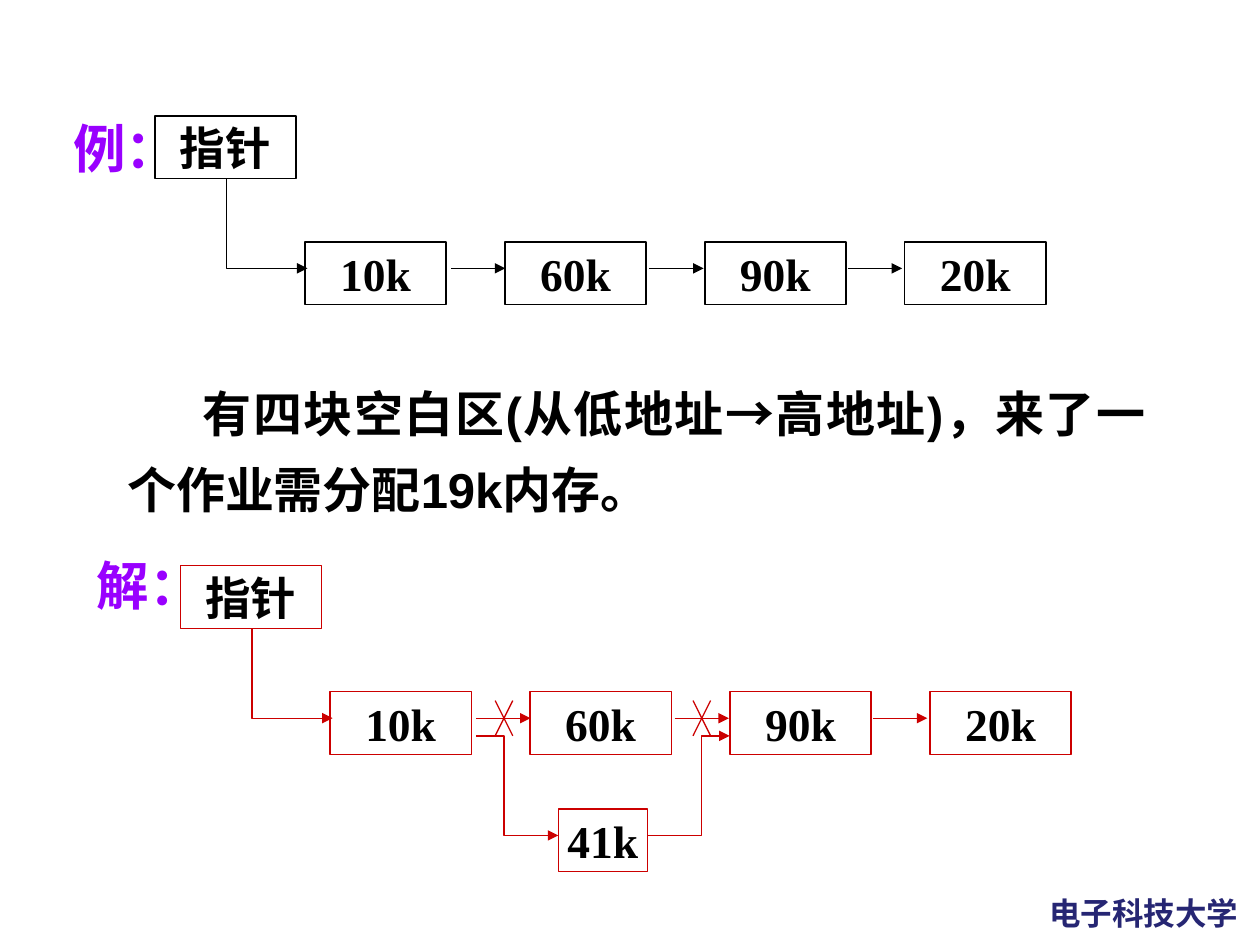
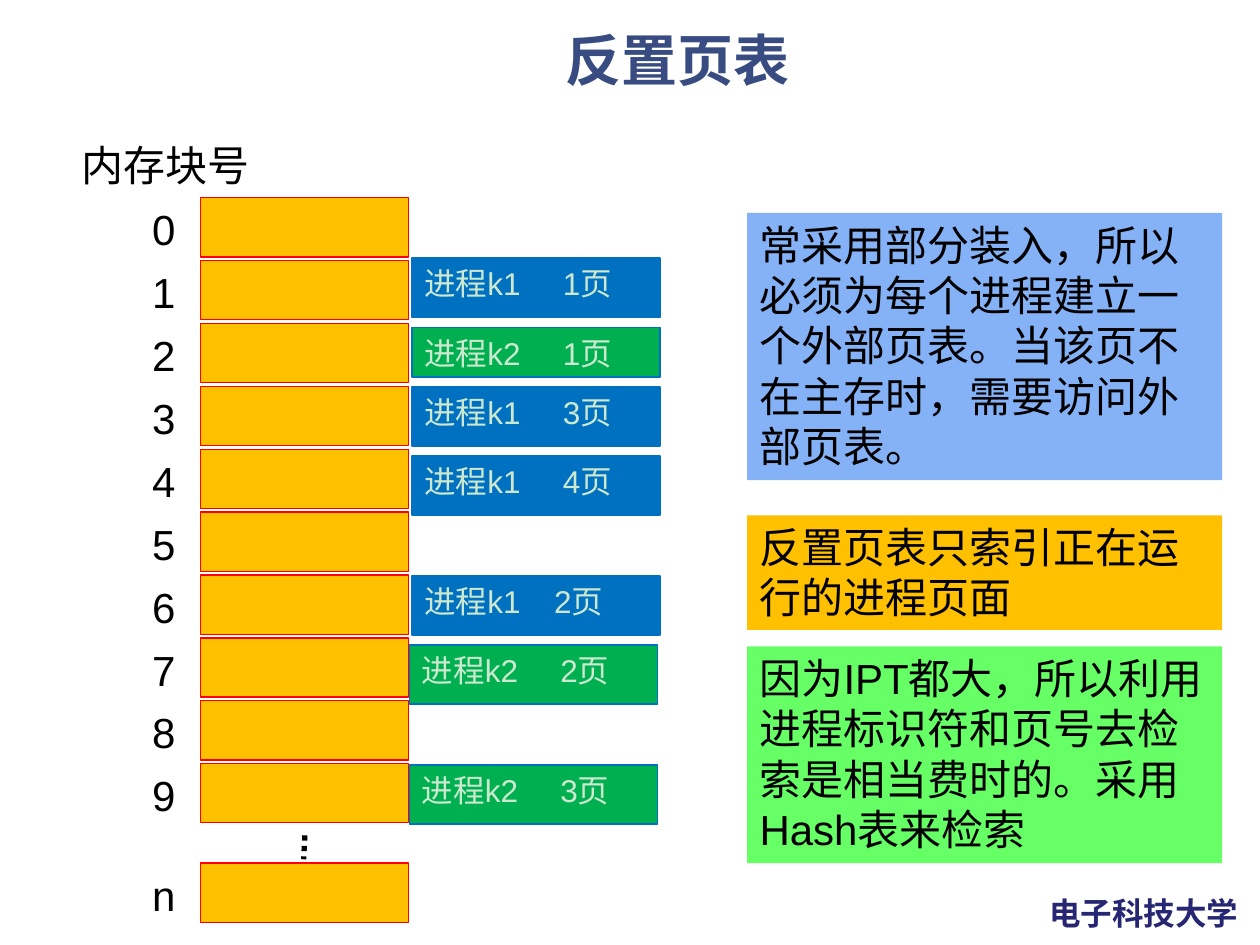
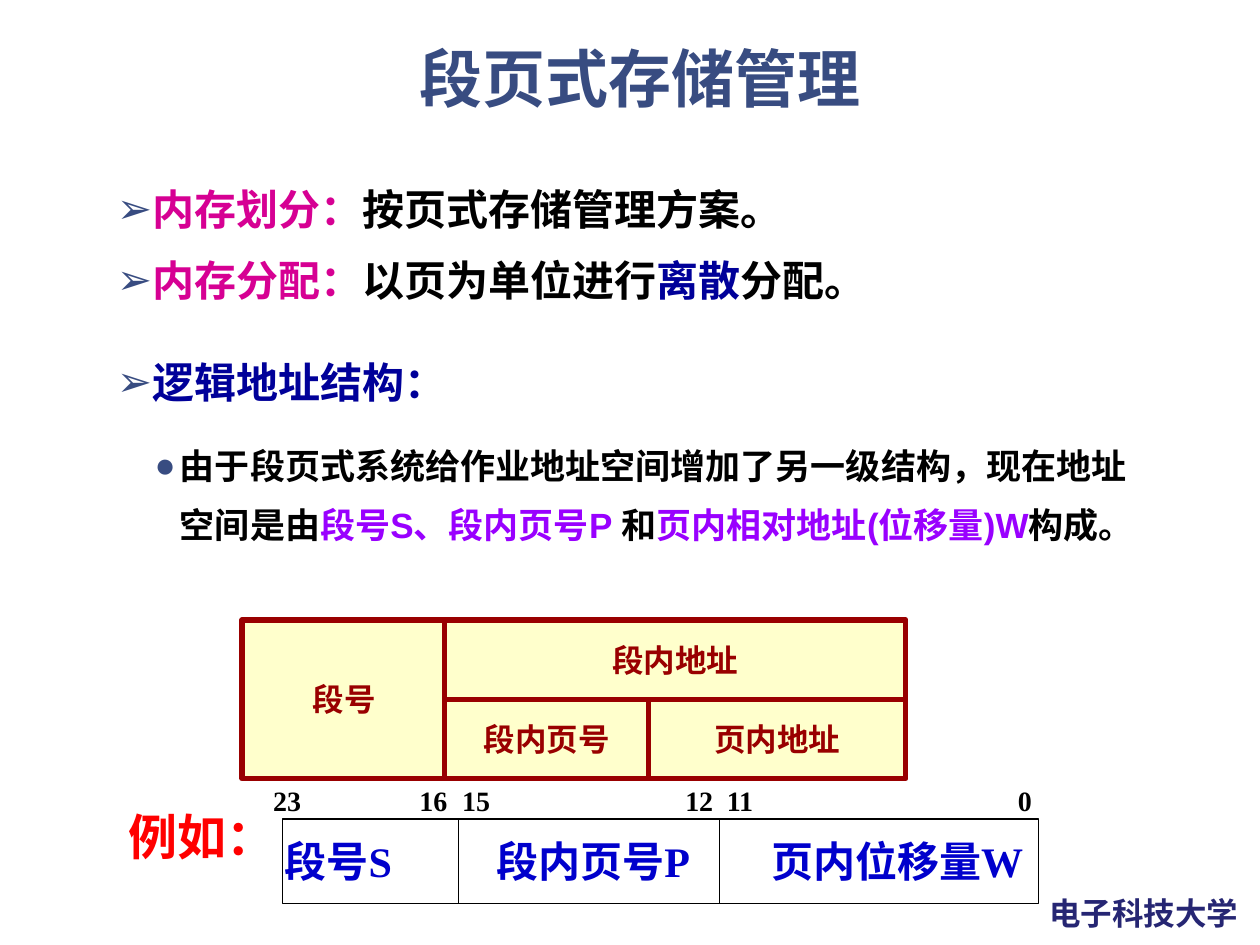
import pptx
import pptx.dml.color
import pptx.enum.dml
import pptx.enum.shapes
import pptx.enum.text
import pptx.oxml.ns
import pptx.util
from lxml import etree

Inches = pptx.util.Inches
Pt = pptx.util.Pt
qn = pptx.oxml.ns.qn
ALIGN = pptx.enum.text.PP_ALIGN
MIDDLE = pptx.enum.text.MSO_ANCHOR.MIDDLE
RECTANGLE = pptx.enum.shapes.MSO_SHAPE.RECTANGLE
STRAIGHT = pptx.enum.shapes.MSO_CONNECTOR.STRAIGHT

SANS, SERIF, HEAVY = "Arial", "Times New Roman", "Noto Sans CJK SC"
BLACK, RED, NAVY, PURPLE, PINK = "000000", "CC0000", "000099", "9900FF", "D60093"
TITLE, FOOTER, BLUE, GREEN, AMBER = "384C81", "262673", "0070C0", "00B050", "FFC000"
PALE, MAROON, CREAM = "CCE8CF", "990000", "FFFFCC"
DEFAULT_INSETS = (0.1, 0.05)

FREE_BLOCKS = ["10k", "60k", "90k", "20k"]
QUESTION = "有四块空白区(从低地址→高地址)，来了一个作业需分配19k内存。"

FRAMES = [str(number) for number in range(10)]
PROCESS_PAGES = [
    (3.27, 2.05, 0.47, BLUE, "进程k1\t1页", 1.1),
    (3.27, 2.6, 0.39, GREEN, "进程k2\t1页", 1.1),
    (3.27, 3.07, 0.47, BLUE, "进程k1\t3页", 1.1),
    (3.27, 3.62, 0.47, BLUE, "进程k1\t4页", 1.1),
    (3.27, 4.57, 0.47, BLUE, "进程k1\t2页", 1.03),
    (3.25, 5.12, 0.47, GREEN, "进程k2\t2页", 1.1),
    (3.25, 6.07, 0.47, GREEN, "进程k2\t3页", 1.1),
]
REMARKS = [
    (1.69, 2.12, "85B2F6", "常采用部分装入，所以必须为每个进程建立一个外部页表。当该页不在主存时，需要访问外部页表。"),
    (4.09, 0.91, AMBER, "反置页表只索引正在运行的进程页面"),
    (5.13, 1.72, "66FF66", "因为IPT都大，所以利用进程标识符和页号去检索是相当费时的。采用Hash表来检索"),
]

BODY = [
    (0, 0, HEAVY, [("内存划分：", PINK), ("按页式存储管理方案。", BLACK)]),
    (0, 0, HEAVY, [("内存分配：", PINK), ("以页为单位进行", BLACK), ("离散", NAVY), ("分配。", BLACK)]),
    (0, 18, SANS, [("逻辑地址结构：", NAVY)]),
    (1, 12, SANS, [
        ("由于段页式系统给作业地址空间增加了另一级结构，现在地址空间是由", BLACK),
        ("段号S、段内页号P ", PURPLE), ("和", BLACK),
        ("页内相对地址(位移量)W", PURPLE), ("构成。", BLACK)]),
]
BODY_LEVELS = [(24, 0.25, 0.25, "➢"), (20, 0.5, 0.2, "●")]
ADDRESS_PARTS = [
    (1.92, 4.92, 1.62, 1.26, "段号"),
    (3.53, 4.92, 3.66, 0.63, "段内地址"),
    (3.53, 5.55, 1.62, 0.63, "段内页号"),
    (5.15, 5.55, 2.04, 0.63, "页内地址"),
]
ADDRESS_FIELDS = "段号S\t段内页号P\t页内位移量W"
BIT_NUMBERS = "23\t16\t15\t12\t11\t0"


def color(value):
    return pptx.dml.color.RGBColor.from_string(value)


def add_run(paragraph, text, size, ink, font=SANS, bold=False):
    run = paragraph.add_run()
    run.text = text
    run.font.size = Pt(size)
    run.font.name = font
    run.font.bold = bold
    run.font.color.rgb = color(ink)


def add_tabs(paragraph, stops):
    tab_list = etree.SubElement(paragraph._p.get_or_add_pPr(), qn("a:tabLst"))
    for stop in stops:
        etree.SubElement(tab_list, qn("a:tab"), pos=str(Inches(stop)), algn="l")


def add_bullet(paragraph, level):
    size, margin, hanging, mark = BODY_LEVELS[level]
    properties = paragraph._p.get_or_add_pPr()
    properties.set("marL", str(Inches(margin)))
    properties.set("indent", str(-Inches(hanging)))
    bullet_color = etree.SubElement(properties, qn("a:buClr"))
    etree.SubElement(bullet_color, qn("a:srgbClr"), val=TITLE)
    etree.SubElement(properties, qn("a:buFont"), typeface=SANS)
    etree.SubElement(properties, qn("a:buChar"), char=mark)


def prepare_frame(shape, insets=DEFAULT_INSETS, wrap=True, grow=False):
    frame = shape.text_frame
    frame.margin_left = frame.margin_right = Inches(insets[0])
    frame.margin_top = frame.margin_bottom = Inches(insets[1])
    frame.word_wrap = wrap
    if grow:
        frame.auto_size = pptx.enum.text.MSO_AUTO_SIZE.SHAPE_TO_FIT_TEXT
    return frame


def add_text(slide, box, text, size, ink, font=SANS, bold=False, tabs=(),
             insets=DEFAULT_INSETS, wrap=True, grow=True):
    shape = slide.shapes.add_textbox(*map(Inches, box))
    paragraph = prepare_frame(shape, insets, wrap, grow).paragraphs[0]
    if tabs:
        add_tabs(paragraph, tabs)
    add_run(paragraph, text, size, ink, font, bold)
    return paragraph


def style_outline(shape, line, width):
    shape.line.color.rgb = color(line)
    shape.line.width = Pt(width)


def add_arrowhead(shape, end):
    outline = shape._element.spPr.find(qn("a:ln"))
    etree.SubElement(outline, qn("a:" + end), type="triangle")


def add_rectangle(slide, box, fill=None, line=None, width=0.75):
    shape = slide.shapes.add_shape(RECTANGLE, *map(Inches, box))
    shape.shadow.inherit = False
    if fill:
        shape.fill.solid()
        shape.fill.fore_color.rgb = color(fill)
    else:
        shape.fill.background()
    if line:
        style_outline(shape, line, width)
    else:
        shape.line.fill.background()
    return shape


def add_label(shape, text, size, ink, font=SANS, bold=False, align=ALIGN.LEFT,
              anchor=pptx.enum.text.MSO_ANCHOR.TOP, tabs=(), **frame_options):
    frame = prepare_frame(shape, **frame_options)
    frame.vertical_anchor = anchor
    paragraph = frame.paragraphs[0]
    paragraph.alignment = align
    if tabs:
        add_tabs(paragraph, tabs)
    add_run(paragraph, text, size, ink, font, bold)


def add_line(slide, start, end, line=BLACK, width=0.75, arrow=False):
    connector = slide.shapes.add_connector(STRAIGHT, *map(Inches, start + end))
    style_outline(connector, line, width)
    if arrow:
        add_arrowhead(connector, "tailEnd")
    etree.SubElement(connector._element.spPr, qn("a:effectLst"))
    return connector


def add_elbow(slide, points, line, arrow_end="tailEnd"):
    corners = [(Inches(x), Inches(y)) for x, y in points]
    builder = slide.shapes.build_freeform(*corners[0])
    builder.add_line_segments(corners[1:], close=False)
    shape = builder.convert_to_shape()
    shape.shadow.inherit = False
    shape.fill.background()
    style_outline(shape, line, 0.75)
    add_arrowhead(shape, arrow_end)


def add_slide(presentation):
    slide = presentation.slides.add_slide(presentation.slide_layouts[6])
    add_text(slide, (8.23, 7.05, 1.73, 0.4), "电子科技大学", 18, FOOTER, bold=True, wrap=False)
    return slide


def add_title(slide, box, text, size):
    paragraph = add_text(slide, box, text, size, TITLE, bold=True, grow=False)
    paragraph.alignment = ALIGN.CENTER
    paragraph.line_spacing = 0.9


def add_block(slide, left, top, text, line, width=1.12):
    shape = add_rectangle(slide, (left, top, width, 0.5), line=line)
    add_label(shape, text, 26, BLACK, SERIF, True, ALIGN.CENTER, MIDDLE,
              insets=(0.06, 0.03), wrap=False)


def add_chain(slide, left, top, line):
    add_block(slide, left, top, "指针", line)
    for index, text in enumerate(FREE_BLOCKS):
        add_block(slide, left + 1.19 + 1.587 * index, top + 1, text, line)
    link_top = top + 1.21
    add_elbow(slide, [(left + 0.57, top + 0.5), (left + 0.57, link_top),
                      (left + 1.21, link_top)], line)
    for index in range(len(FREE_BLOCKS) - 1):
        start = left + 2.35 + 1.575 * index
        add_line(slide, (start, link_top), (start + 0.43, link_top), line, arrow=True)


def build_free_list(presentation):
    slide = add_slide(presentation)
    for left, top, text in [(0.5, 0.88, "例："), (0.69, 4.35, "解：")]:
        add_text(slide, (left, top, 1, 0.58), text, 30, PURPLE, SERIF, True,
                 insets=(0.08, 0.04), wrap=False)
    add_chain(slide, 1.23, 0.92, BLACK)
    question = add_text(slide, (0.93, 2.86, 8.24, 1.25), QUESTION, 28, BLACK, bold=True,
                        insets=(0.08, 0.04))
    question.alignment = ALIGN.JUSTIFY
    question.line_spacing = 1.3
    question._p.get_or_add_pPr().set("indent", str(Inches(0.6)))

    add_chain(slide, 1.43, 4.49, RED)
    add_block(slide, 4.43, 6.42, "41k", RED, 0.71)
    add_elbow(slide, [(3.78, 5.84), (4, 5.84), (4, 6.63), (4.43, 6.63)], RED)
    add_elbow(slide, [(5.79, 5.84), (5.57, 5.84), (5.57, 6.63), (5.14, 6.63)], RED, "headEnd")
    for center in (4, 5.57):
        for reach in (0.07, -0.07):
            add_line(slide, (center - reach, 5.56), (center + reach, 5.84), RED)


def build_inverted_table(presentation):
    slide = add_slide(presentation)
    add_title(slide, (1.06, 0.21, 8.64, 0.6), "反置页表", 32)
    heading = add_rectangle(slide, (0.55, 1.06, 1.55, 0.5), "FFFFFF")
    add_label(heading, "内存块号", 24, BLACK, wrap=False, grow=True)
    frames = [(number, 1.57 + 0.499 * row) for row, number in enumerate(FRAMES)]
    for number, top in frames + [("n", 6.85)]:
        add_rectangle(slide, (1.59, top, 1.65, 0.47), AMBER, "FF0000")
        add_text(slide, (1.11, top, 0.41, 0.5), number, 24, BLACK)
    for left, top, height, fill, text, tab in PROCESS_PAGES:
        page = add_rectangle(slide, (left, top, 1.97, height), fill, BLUE, 1)
        add_label(page, text, 18, PALE, tabs=[tab])
    ellipsis = add_line(slide, (2.42, 6.63), (2.41, 6.82), width=3)
    ellipsis.line.dash_style = pptx.enum.dml.MSO_LINE.ROUND_DOT
    for top, height, fill, text in REMARKS:
        remark = add_rectangle(slide, (5.93, top, 3.77, height), fill)
        add_label(remark, text, 24, BLACK, grow=True)


def build_segment_paging(presentation):
    slide = add_slide(presentation)
    add_title(slide, (0.83, 0.33, 8.5, 1.25), "段页式存储管理", 36)
    body = slide.shapes.add_textbox(*map(Inches, (0.83, 1.25, 8.27, 2.76)))
    frame = prepare_frame(body)
    for index, (level, space, font, runs) in enumerate(BODY):
        paragraph = frame.add_paragraph() if index else frame.paragraphs[0]
        paragraph.level = level
        add_bullet(paragraph, level)
        paragraph.line_spacing = 1.4
        if index:
            paragraph.space_before = Pt(space)
        for text, ink in runs:
            add_run(paragraph, text, BODY_LEVELS[level][0], ink, font, True)

    for *box, text in ADDRESS_PARTS:
        part = add_rectangle(slide, box, CREAM, MAROON, 3)
        add_label(part, text, 18, MAROON, SANS, True, ALIGN.CENTER, MIDDLE, wrap=False)
    address = add_rectangle(slide, (2.24, 6.5, 6, 0.67), line=BLACK)
    add_label(address, ADDRESS_FIELDS, 24, "0000CC", SERIF, True, anchor=MIDDLE,
              tabs=[1.68, 3.86], insets=(0.02, 0.05))
    for divider in (3.64, 5.71):
        add_line(slide, (divider, 6.5), (divider, 7.17))
    add_text(slide, (2.07, 6.17, 6.58, 0.37), BIT_NUMBERS, 16, BLACK, SERIF, True,
             tabs=[1.16, 1.5, 3.27, 3.6, 5.91])
    add_text(slide, (0.92, 6.35, 1.37, 0.57), "例如：", 28, "FF0000", SERIF, True, wrap=False)


def main():
    presentation = pptx.Presentation()
    presentation.slide_width = Inches(10)
    presentation.slide_height = Inches(7.5)
    build_free_list(presentation)
    build_inverted_table(presentation)
    build_segment_paging(presentation)
    presentation.save("out.pptx")


if __name__ == "__main__":
    main()
